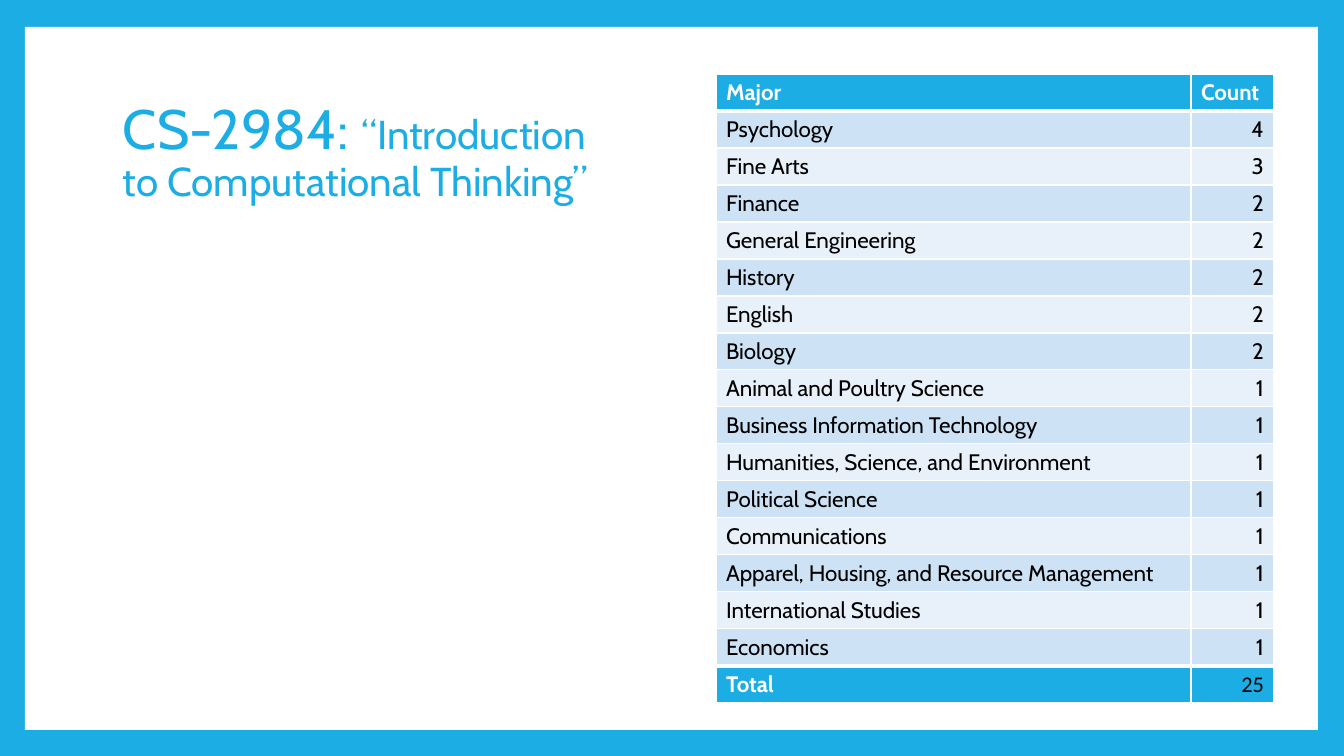
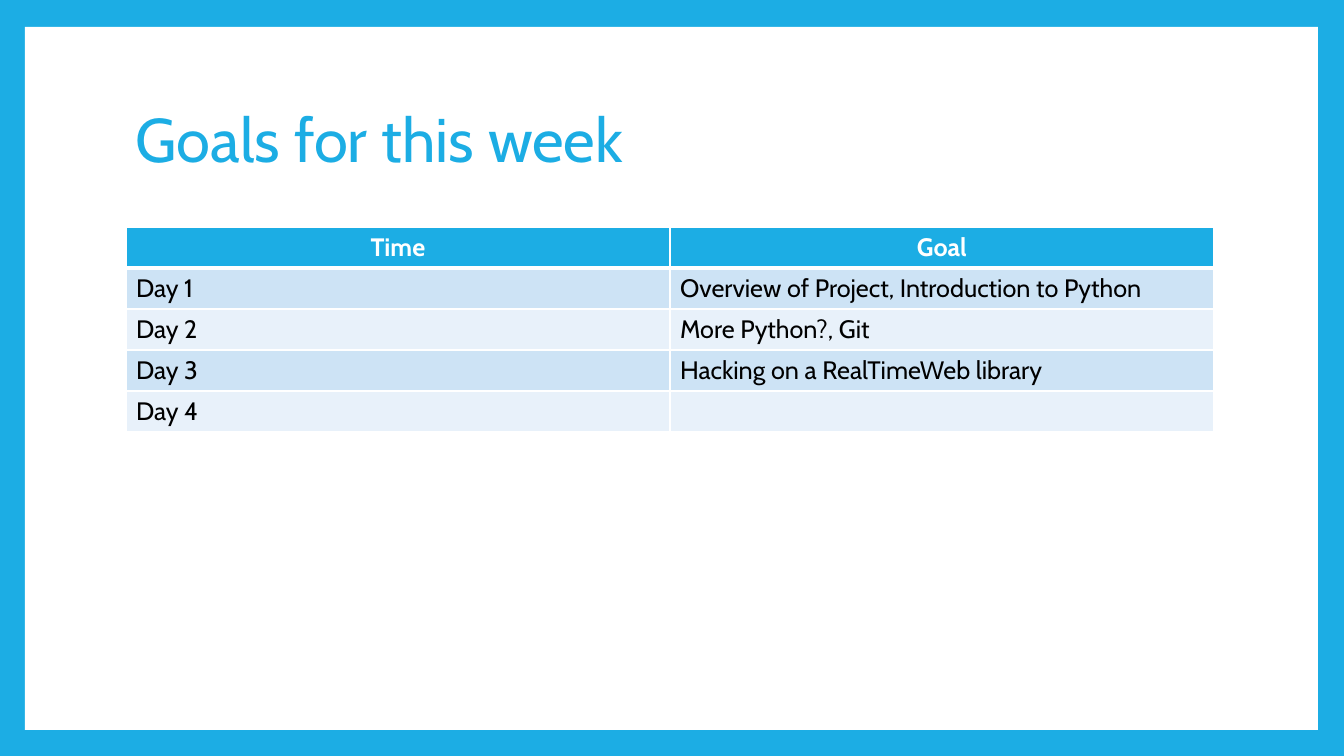
import pptx
import pptx.dml.color
import pptx.enum.shapes
import pptx.enum.text
import pptx.oxml.ns
import pptx.util
from lxml import etree

PX = 914400 / 100.8
ALIGN = pptx.enum.text.PP_ALIGN
ANCHOR = pptx.enum.text.MSO_ANCHOR


def px(length):
    return pptx.util.Emu(round(length * PX))


def color(value):
    return pptx.dml.color.RGBColor.from_string(value)


class Deck:
    ACCENT = "1CADE4"
    WHITE = "FFFFFF"
    BLACK = "000000"
    BANDS = ("CDE3F5", "E8F1FA")
    FONT = "Cabin"
    VALUE_FONT = "Calibri"
    THIN, THICK = 1, 3

    def __init__(self):
        self.presentation = pptx.Presentation()
        self.presentation.slide_width = px(1344)
        self.presentation.slide_height = px(756)
        self.slide = None

    def add_slide(self):
        self.slide = self.presentation.slides.add_slide(self.presentation.slide_layouts[6])
        background = self.slide.background.fill
        background.solid()
        background.fore_color.rgb = color(self.ACCENT)
        panel = self.slide.shapes.add_shape(
            pptx.enum.shapes.MSO_SHAPE.RECTANGLE, px(25), px(27), px(1293), px(703))
        panel.shadow.inherit = False
        panel.fill.solid()
        panel.fill.fore_color.rgb = color(self.WHITE)
        panel.line.fill.background()

    def run(self, paragraph, text, size, ink, bold=False, font=FONT):
        run = paragraph.add_run()
        run.text = text
        run.font.size = pptx.util.Pt(size)
        run.font.name = font
        run.font.bold = bold
        run.font.color.rgb = color(ink)

    def title(self, left, top, width, height, parts):
        frame = self.slide.shapes.add_textbox(px(left), px(top), px(width), px(height)).text_frame
        frame.word_wrap = True
        frame.vertical_anchor = ANCHOR.MIDDLE
        paragraph = frame.paragraphs[0]
        paragraph.line_spacing = 0.9
        for text, size in parts:
            self.run(paragraph, text, size, self.ACCENT)

    def borders(self, cell, top, bottom):
        properties = cell._tc.get_or_add_tcPr()
        widths = {"lnL": self.THIN, "lnR": self.THIN, "lnT": top, "lnB": bottom}
        for side, width in widths.items():
            line = etree.SubElement(properties, pptx.oxml.ns.qn(f"a:{side}"),
                                    w=str(pptx.util.Pt(width)))
            fill = etree.SubElement(line, pptx.oxml.ns.qn("a:solidFill"))
            etree.SubElement(fill, pptx.oxml.ns.qn("a:srgbClr"), val=self.WHITE)

    def table(self, left, top, column_widths, row_height, rows, size, header_align,
              body_aligns, anchor, has_total=False):
        last = len(rows) - 1
        table = self.slide.shapes.add_table(
            len(rows), len(column_widths), px(left), px(top),
            px(sum(column_widths)), px(row_height * len(rows))).table
        table.first_row = table.horz_banding = False
        for column, width in zip(table.columns, column_widths):
            column.width = px(width)
        thick_rules = {1, last} if has_total else {1}
        for r, values in enumerate(rows):
            table.rows[r].height = px(row_height)
            is_header = r == 0
            is_total = has_total and r == last
            for c, value in enumerate(values):
                cell = table.cell(r, c)
                self.borders(cell, *(self.THICK if rule in thick_rules else self.THIN
                                     for rule in (r, r + 1)))
                cell.fill.solid()
                cell.fill.fore_color.rgb = color(
                    self.ACCENT if is_header or is_total else self.BANDS[(r - 1) % 2])
                cell.vertical_anchor = anchor
                paragraph = cell.text_frame.paragraphs[0]
                paragraph.alignment = header_align if is_header else body_aligns[c]
                strong = is_header or (is_total and c == 0)
                font = self.VALUE_FONT if is_total and c > 0 else self.FONT
                if value:
                    self.run(paragraph, value, size,
                             self.WHITE if strong else self.BLACK, strong, font)


def main():
    deck = Deck()

    majors = [
        ("Psychology", 4),
        ("Fine Arts", 3),
        ("Finance", 2),
        ("General Engineering", 2),
        ("History", 2),
        ("English", 2),
        ("Biology", 2),
        ("Animal and Poultry Science", 1),
        ("Business Information Technology", 1),
        ("Humanities, Science, and Environment", 1),
        ("Political Science", 1),
        ("Communications", 1),
        ("Apparel, Housing, and Resource Management", 1),
        ("International Studies", 1),
        ("Economics", 1),
    ]
    total = sum(count for _, count in majors)
    enrollment = [("Major", "Count")]
    enrollment += [(major, str(count)) for major, count in majors + [("Total", total)]]

    deck.add_slide()
    deck.title(113, 79, 486, 149, [
        ("CS-2984: ", 39.6),
        ("“Introduction to Computational Thinking”", 28.8),
    ])
    deck.table(716, 74, (475, 83), 37, enrollment, 16, ALIGN.LEFT,
               (ALIGN.LEFT, ALIGN.RIGHT), ANCHOR.BOTTOM, has_total=True)

    goals = [
        ("Time", "Goal"),
        ("Day 1", "Overview of Project, Introduction to Python"),
        ("Day 2", "More Python?, Git"),
        ("Day 3", "Hacking on a RealTimeWeb library"),
        ("Day 4", ""),
    ]
    deck.add_slide()
    deck.title(126, 68, 1088, 149, [("Goals for this week", 44)])
    deck.table(126, 227, (544, 544), 41, goals, 18, ALIGN.CENTER,
               (ALIGN.LEFT, ALIGN.LEFT), ANCHOR.TOP)

    deck.presentation.save("out.pptx")


if __name__ == "__main__":
    main()
